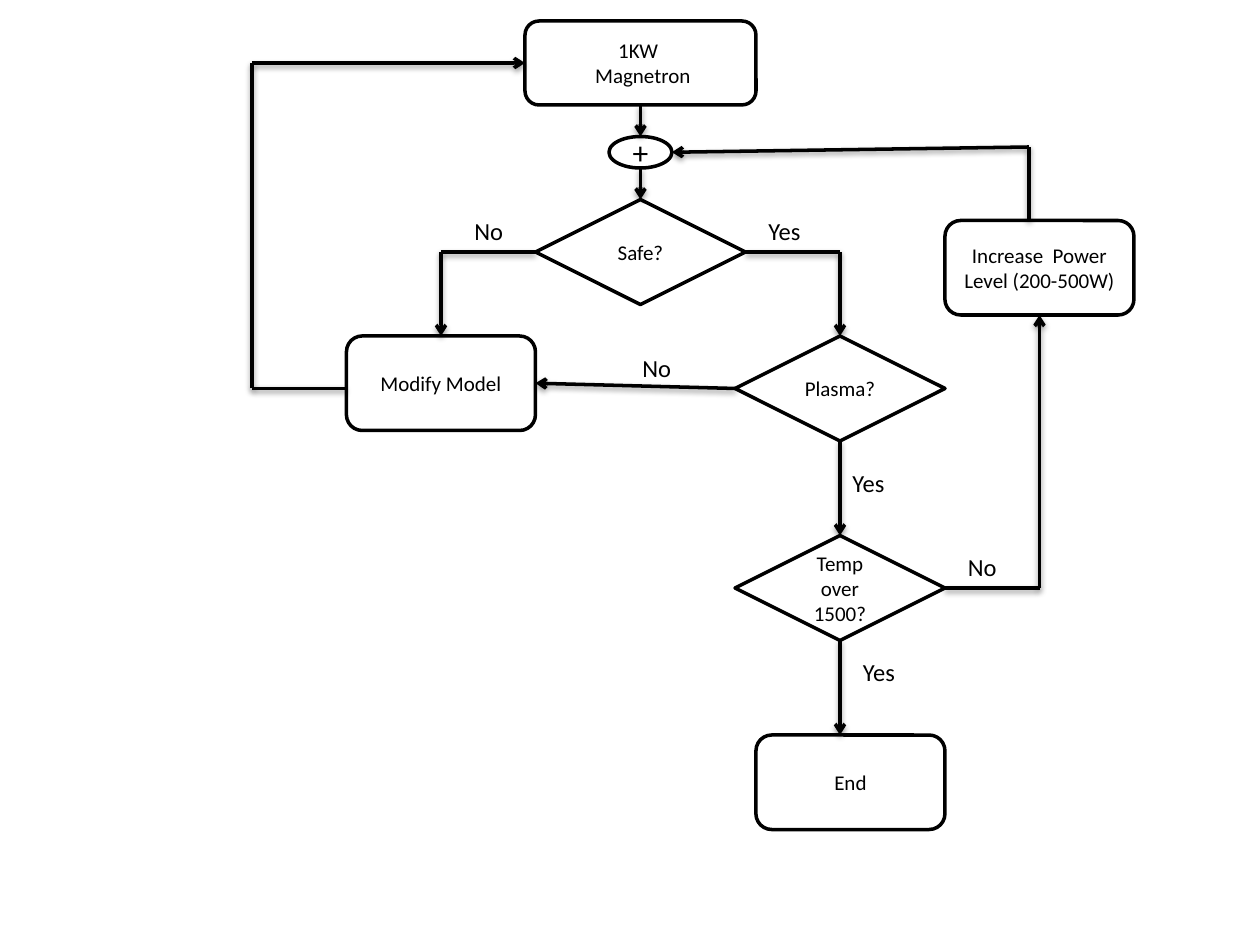
from itertools import pairwise

from lxml.etree import SubElement
from pptx import Presentation
from pptx.dml.color import RGBColor
from pptx.enum.shapes import MSO_CONNECTOR, MSO_SHAPE
from pptx.enum.text import MSO_ANCHOR, MSO_AUTO_SIZE, PP_ALIGN
from pptx.oxml.ns import qn
from pptx.util import Pt

PX = 7620  # EMU per px, 120 px to the inch
COLORS = {"ink": "000000", "paper": "FFFFFF"}
TOP, LEFT, BOTTOM, RIGHT = range(4)


class Flowchart:
    font = "Calibri"
    line_width = Pt(2)

    def __init__(self, slide):
        self.shapes = slide.shapes

    def color(self, name):
        return RGBColor.from_string(COLORS[name])

    def set_text(self, tf, text, size, align):
        tf.word_wrap = True
        tf.text = text
        for p in tf.paragraphs:
            p.alignment = align
            for r in p.runs:
                r.font.name = self.font
                r.font.size = Pt(size)
                r.font.color.rgb = self.color("ink")

    def outline(self, line):
        line.color.rgb = self.color("ink")
        line.width = self.line_width

    def node(self, kind, x, y, w, h, text, size=12):
        sp = self.shapes.add_shape(kind, x * PX, y * PX, w * PX, h * PX)
        sp.shadow.inherit = False
        sp.fill.solid()
        sp.fill.fore_color.rgb = self.color("paper")
        self.outline(sp.line)
        sp.text_frame.vertical_anchor = MSO_ANCHOR.MIDDLE
        self.set_text(sp.text_frame, text, size, PP_ALIGN.CENTER)
        return sp

    def box(self, x, y, text, w=180, h=90):
        return self.node(MSO_SHAPE.ROUNDED_RECTANGLE, x, y, w, h, text)

    def decision(self, x, y, text, kind=MSO_SHAPE.FLOWCHART_DECISION):
        return self.node(kind, x, y, 200, 100, text)

    def label(self, x, y, text, w):
        sp = self.shapes.add_textbox(x * PX, y * PX, w * PX, 41 * PX)
        self.set_text(sp.text_frame, text, 14, PP_ALIGN.LEFT)
        sp.text_frame.auto_size = MSO_AUTO_SIZE.SHAPE_TO_FIT_TEXT

    def route(self, *stops, start=None, end=None):
        """Join px points with lines, the last one an arrow.

        start and end are (shape, side) pairs to attach to. The lines keep
        the soft shadow of the theme.
        """
        legs = list(pairwise(stops))
        for i, ((x1, y1), (x2, y2)) in enumerate(legs):
            c = self.shapes.add_connector(
                MSO_CONNECTOR.STRAIGHT, x1 * PX, y1 * PX, x2 * PX, y2 * PX)
            self.outline(c.line)
            if i == 0 and start:
                c.begin_connect(*start)
            if i == len(legs) - 1:
                if end:
                    c.end_connect(*end)
                SubElement(c.get_or_add_ln(), qn("a:tailEnd"), type="arrow")


def main():
    prs = Presentation()
    prs.slide_width, prs.slide_height = 1200 * PX, 900 * PX
    s = Flowchart(prs.slides.add_slide(prs.slide_layouts[6]))

    magnetron = s.box(500, 20, "1KW \n Magnetron", w=220, h=80)
    junction = s.node(MSO_SHAPE.OVAL, 580, 130, 60, 30, "+", size=18)
    safe = s.decision(510, 190, "Safe?", MSO_SHAPE.DIAMOND)
    modify = s.box(330, 320, "Modify Model")
    plasma = s.decision(700, 320, "Plasma?")
    temp = s.decision(700, 510, "Temp over 1500?")
    increase = s.box(900, 210, "Increase  Power Level (200-500W)")
    s.box(720, 700, "End")

    s.route((610, 100), (610, 130), start=(magnetron, BOTTOM), end=(junction, TOP))
    s.route((610, 160), (610, 190), end=(safe, TOP))
    s.route((510, 240), (420, 240), (420, 320), start=(safe, LEFT), end=(modify, TOP))
    s.route((710, 240), (800, 240), (800, 320), start=(safe, RIGHT), end=(plasma, TOP))
    s.route((700, 370), (510, 365), start=(plasma, LEFT), end=(modify, RIGHT))
    s.route((800, 420), (800, 510), start=(plasma, BOTTOM), end=(temp, TOP))
    s.route((800, 610), (800, 700), start=(temp, BOTTOM))
    s.route((900, 560), (990, 560), (990, 300), start=(temp, RIGHT), end=(increase, BOTTOM))
    s.route((980, 210), (980, 140), (640, 145))
    s.route((330, 370), (240, 370), (240, 60), (500, 60), end=(magnetron, LEFT))

    for x, y in (720, 200), (800, 440), (810, 620):
        s.label(x, y, "Yes", 90)
    for x, y in (440, 200), (600, 330), (910, 520):
        s.label(x, y, "No", 60)

    prs.save("out.pptx")


if __name__ == "__main__":
    main()
